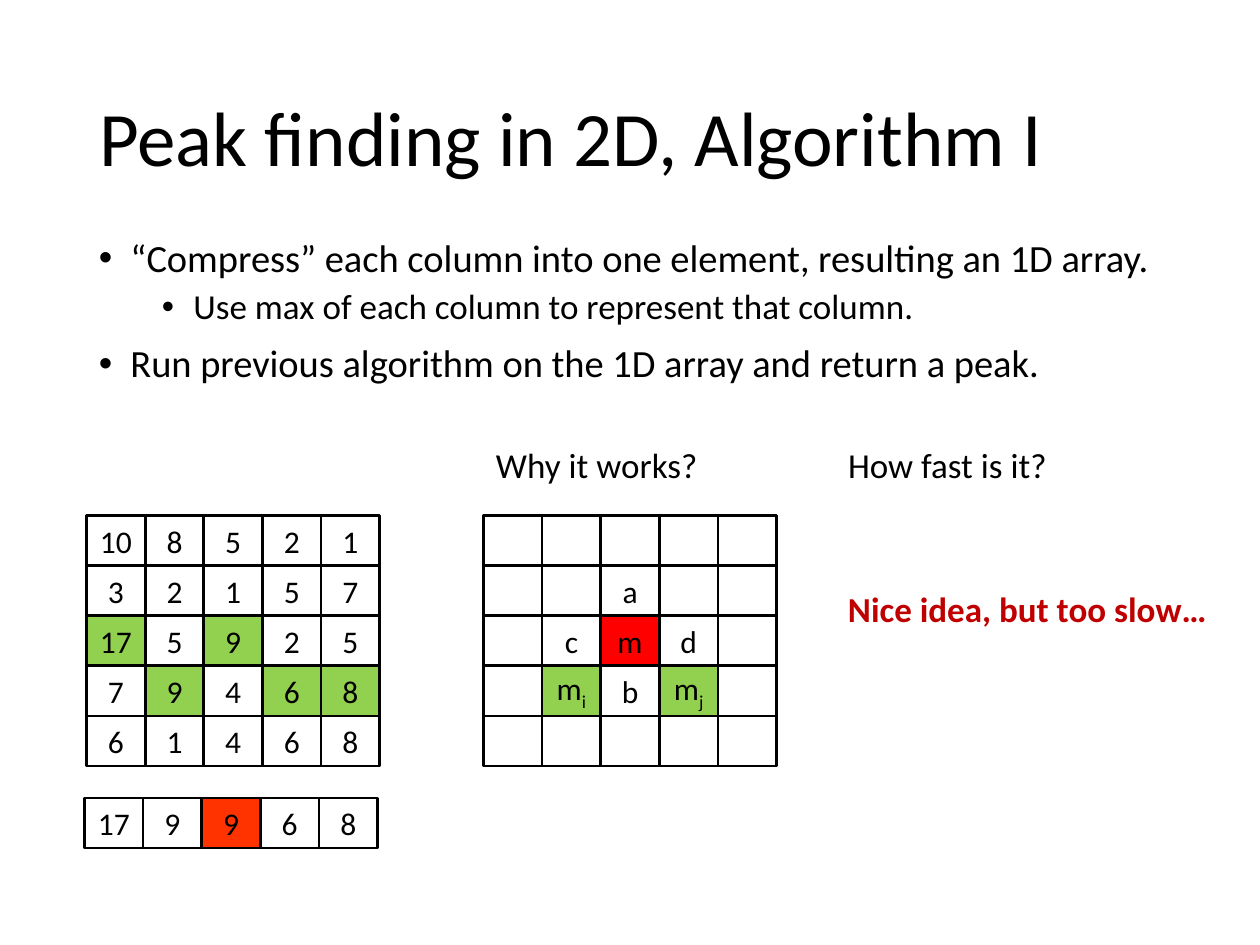
from dataclasses import dataclass, field

from lxml import etree
from pptx import Presentation
from pptx.dml.color import RGBColor
from pptx.enum import shapes, text
from pptx.oxml import ns
from pptx.slide import Slide
from pptx.util import Pt

BLACK = RGBColor(0x00, 0x00, 0x00)
GREEN = RGBColor(0x92, 0xD0, 0x50)
RED = RGBColor(0xFF, 0x00, 0x00)
ORANGE_RED = RGBColor(0xFF, 0x33, 0x00)
DARK_RED = RGBColor(0xC0, 0x00, 0x00)

FONT = "Calibri"
CELL_WIDTH, CELL_HEIGHT = 33.5, 28.65
CONTENT_LEFT, CONTENT_WIDTH = 49.5, 621
BODY_TOP, BODY_HEIGHT = 133, 104.4


@dataclass
class Grid:
    """Rows of cell labels; "m_i" stands for m with subscript i."""
    left: float
    top: float
    rows: list[list[str]]
    fills: dict[tuple[int, int], RGBColor] = field(default_factory=dict)


@dataclass
class Bullet:
    words: str
    size: float
    indent: float
    space_before: float
    level: int = 0


@dataclass
class Label:
    words: str
    left: float
    top: float
    width: float
    color: RGBColor = BLACK
    bold: bool = False


MATRIX = Grid(
    49.5, 294.5,
    [row.split() for row in ("10 8 5 2 1", "3 2 1 5 7", "17 5 9 2 5", "7 9 4 6 8", "6 1 4 6 8")],
    {(2, 0): GREEN, (2, 2): GREEN, (3, 1): GREEN, (3, 3): GREEN, (3, 4): GREEN},
)
COLUMN_MAXIMA = Grid(48.3, 456, ["17 9 9 6 8".split()], {(0, 2): ORANGE_RED})
PROOF = Grid(
    276.3, 294.5,
    [
        [""] * 5,
        ["", "", "a", "", ""],
        ["", "c", "m", "d", ""],
        ["", "m_i", "b", "m_j", ""],
        [""] * 5,
    ],
    {(2, 2): RED, (3, 1): GREEN, (3, 3): GREEN},
)
BULLETS = [
    Bullet("“Compress” each column into one element, resulting an 1D array.", 22, 18, 0),
    Bullet("Use max of each column to represent that column.", 20, 54, 5, level=1),
    Bullet("Run previous algorithm on the 1D array and return a peak.", 22, 18, 10),
]
LABELS = [
    Label("Why it works?", 276.3, 250, 130.3),
    Label("How fast is it?", 477.5, 250, 128.9),
    Label("Nice idea, but too slow…", 477.5, 332, 221, DARK_RED, bold=True),
]


def format_runs(paragraph, size: float, color: RGBColor = BLACK, bold: bool = False) -> None:
    for run in paragraph.runs:
        run.font.name = FONT
        run.font.size = Pt(size)
        run.font.bold = bold
        run.font.color.rgb = color


def add_title(slide: Slide, words: str) -> None:
    title = slide.shapes.title
    title.left, title.top = Pt(CONTENT_LEFT), Pt(28.75)
    title.width, title.height = Pt(CONTENT_WIDTH), Pt(104.4)
    frame = title.text_frame
    frame.text = words
    frame.auto_size = text.MSO_AUTO_SIZE.NONE
    frame.vertical_anchor = text.MSO_ANCHOR.MIDDLE
    heading = frame.paragraphs[0]
    heading.alignment = text.PP_ALIGN.LEFT
    heading.line_spacing = 0.9
    format_runs(heading, 44)


def add_bullets(slide: Slide, bullets: list[Bullet]) -> None:
    body = slide.shapes.add_textbox(
        Pt(CONTENT_LEFT), Pt(BODY_TOP), Pt(CONTENT_WIDTH), Pt(BODY_HEIGHT))
    frame = body.text_frame
    frame.word_wrap = True
    frame.text = "\n".join(bullet.words for bullet in bullets)
    for paragraph, bullet in zip(frame.paragraphs, bullets):
        properties = paragraph._p.get_or_add_pPr()
        properties.set("marL", str(Pt(bullet.indent)))
        properties.set("indent", str(-Pt(18)))
        etree.SubElement(properties, ns.qn("a:buFont")).set("typeface", "Arial")
        etree.SubElement(properties, ns.qn("a:buChar")).set("char", "•")
        paragraph.level = bullet.level
        paragraph.line_spacing = 0.9
        paragraph.space_before = Pt(bullet.space_before)
        format_runs(paragraph, bullet.size)


def write_cell(cell, words: str) -> None:
    """Centre the words in the cell, lowering whatever follows an underscore."""
    frame = cell.text_frame
    frame.margin_left = frame.margin_right = 0
    frame.margin_top = frame.margin_bottom = 0
    frame.vertical_anchor = text.MSO_ANCHOR.MIDDLE
    paragraph = frame.paragraphs[0]
    paragraph.alignment = text.PP_ALIGN.CENTER
    base, _, subscript = words.partition("_")
    paragraph.add_run().text = base
    if subscript:
        lowered = paragraph.add_run()
        lowered.text = subscript
        lowered._r.get_or_add_rPr().set("baseline", "-25000")
    format_runs(paragraph, 18)


def add_grid(slide: Slide, grid: Grid) -> None:
    group = slide.shapes.add_group_shape()
    for row, labels in enumerate(grid.rows):
        for column, words in enumerate(labels):
            cell = group.shapes.add_shape(
                shapes.MSO_SHAPE.RECTANGLE,
                Pt(grid.left + column * CELL_WIDTH), Pt(grid.top + row * CELL_HEIGHT),
                Pt(CELL_WIDTH), Pt(CELL_HEIGHT))
            cell.shadow.inherit = False
            cell.line.color.rgb = BLACK
            cell.line.width = Pt(1.5)
            if (row, column) in grid.fills:
                cell.fill.solid()
                cell.fill.fore_color.rgb = grid.fills[row, column]
            else:
                cell.fill.background()
            if words:
                write_cell(cell, words)


def add_label(slide: Slide, label: Label) -> None:
    box = slide.shapes.add_textbox(Pt(label.left), Pt(label.top), Pt(label.width), Pt(31.5))
    frame = box.text_frame
    frame.word_wrap = False
    frame.auto_size = text.MSO_AUTO_SIZE.SHAPE_TO_FIT_TEXT
    frame.text = label.words
    format_runs(frame.paragraphs[0], 20, label.color, label.bold)


def main() -> None:
    deck = Presentation()
    deck.slide_width, deck.slide_height = Pt(720), Pt(540)
    slide = deck.slides.add_slide(deck.slide_layouts.get_by_name("Title Only"))
    add_title(slide, "Peak finding in 2D, Algorithm I")
    add_bullets(slide, BULLETS)
    for grid in (MATRIX, COLUMN_MAXIMA, PROOF):
        add_grid(slide, grid)
    for label in LABELS:
        add_label(slide, label)
    deck.save("out.pptx")


if __name__ == "__main__":
    main()
